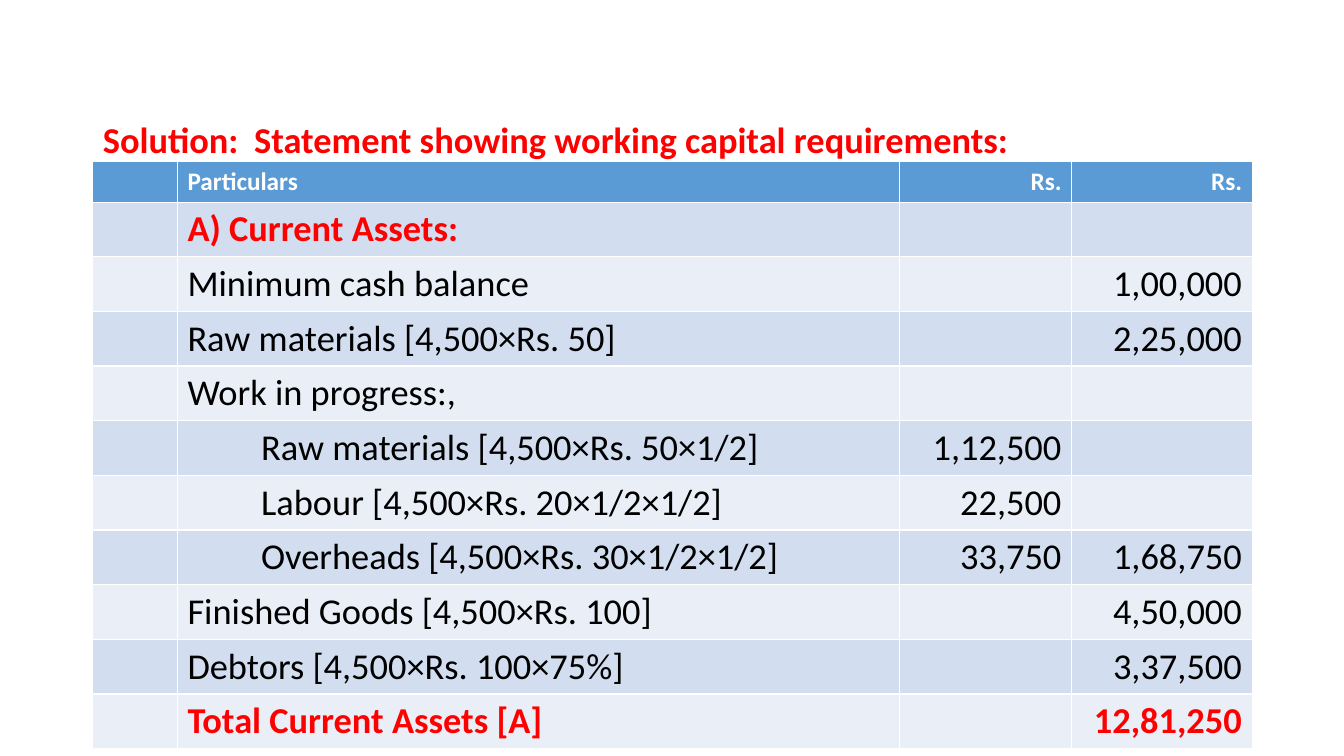
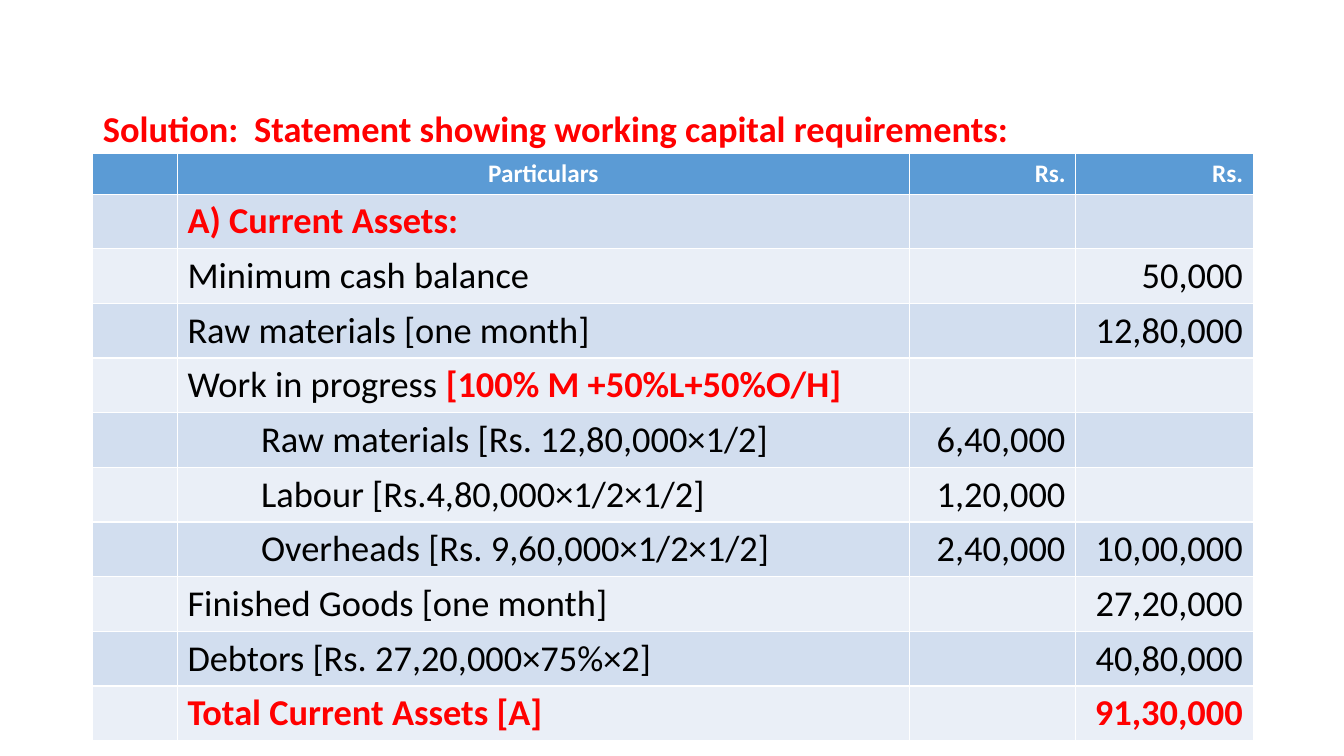
from lxml.etree import SubElement
from pptx import Presentation
from pptx.dml.color import RGBColor
from pptx.enum.text import MSO_ANCHOR, PP_ALIGN
from pptx.oxml.ns import qn
from pptx.util import Inches, Pt

RED = RGBColor(0xFF, 0x00, 0x00)
BLACK = RGBColor(0x00, 0x00, 0x00)
WHITE = RGBColor(0xFF, 0xFF, 0xFF)
HEADER = RGBColor(0x5B, 0x9B, 0xD5)
BANDS = (RGBColor(0xD2, 0xDE, 0xEF), RGBColor(0xEA, 0xEF, 0xF7))
FONT = "Calibri"
LEFT, WIDTH = 0.92, 11.5
HEADER_H, ROW_H = 0.39, 0.48
HEADING = "Solution:\tStatement showing working capital requirements:"
HEADING_TAB = 2.0
SUB_ITEM_INDENT = 0.73

FIRST_ROWS = [
    ("A) Current Assets:", "", ""),
    ("Minimum cash balance", "", "1,00,000"),
    ("Raw materials [4,500×Rs. 50]", "", "2,25,000"),
    ("Work in progress:,", "", ""),
    ("Raw materials [4,500×Rs. 50×1/2]", "1,12,500", ""),
    ("Labour [4,500×Rs. 20×1/2×1/2]", "22,500", ""),
    ("Overheads [4,500×Rs. 30×1/2×1/2]", "33,750", "1,68,750"),
    ("Finished Goods [4,500×Rs. 100]", "", "4,50,000"),
    ("Debtors [4,500×Rs. 100×75%]", "", "3,37,500"),
    ("Total Current Assets [A]", "", "12,81,250"),
]
SECOND_ROWS = [
    ("A) Current Assets:", "", ""),
    ("Minimum cash balance", "", "50,000"),
    ("Raw materials [one month]", "", "12,80,000"),
    (("Work in progress ", "[100% M +50%L+50%O/H]"), "", ""),
    ("Raw materials [Rs. 12,80,000×1/2]", "6,40,000", ""),
    ("Labour [Rs.4,80,000×1/2×1/2]", "1,20,000", ""),
    ("Overheads [Rs. 9,60,000×1/2×1/2]", "2,40,000", "10,00,000"),
    ("Finished Goods [one month]", "", "27,20,000"),
    ("Debtors [Rs. 27,20,000×75%×2]", "", "40,80,000"),
    ("Total Current Assets [A]", "", "91,30,000"),
]


def style_run(r, size, color, bold):
    r.font.name = FONT
    r.font.size = Pt(size)
    r.font.color.rgb = color
    r.font.bold = bold


def add_heading(s, top, height):
    body = s.placeholders[1]
    body.left, body.top = Inches(LEFT), Inches(top)
    body.width, body.height = Inches(WIDTH), Inches(height)
    tf = body.text_frame
    tf.vertical_anchor = MSO_ANCHOR.TOP
    tf.text = HEADING
    p = tf.paragraphs[0]
    p.line_spacing = 0.9
    p.space_before = Pt(10)
    for r in p.runs:
        style_run(r, 26, RED, True)
    pPr = p._p.get_or_add_pPr()
    pPr.set("marL", "0")
    pPr.set("indent", "0")
    SubElement(pPr, qn("a:buNone"))
    tabs = SubElement(pPr, qn("a:tabLst"))
    SubElement(tabs, qn("a:tab"), pos=str(Inches(HEADING_TAB)), algn="l")


def fill_cell(cell, text, fill, size, color, bold, align):
    cell.fill.solid()
    cell.fill.fore_color.rgb = fill
    if not text:
        return
    label, note = (text, "") if isinstance(text, str) else text
    p = cell.text_frame.paragraphs[0]
    p.text = label
    p.alignment = align
    style_run(p.runs[0], size, color, bold)
    if note:
        r = p.add_run()
        r.text = note
        style_run(r, size, RED, True)


def add_statement(s, top, col_widths, rows, label_align):
    height = HEADER_H + ROW_H * len(rows)
    table = s.shapes.add_table(len(rows) + 1, len(col_widths), Inches(LEFT), Inches(top),
                               Inches(WIDTH), Inches(height)).table
    for col, width in zip(table.columns, col_widths):
        col.width = Inches(width)
    for i, row in enumerate(table.rows):
        row.height = Inches(ROW_H if i else HEADER_H)

    aligns = (PP_ALIGN.LEFT, label_align, PP_ALIGN.RIGHT, PP_ALIGN.RIGHT)
    for c, text in enumerate(("", "Particulars", "Rs.", "Rs.")):
        fill_cell(table.cell(0, c), text, HEADER, 18, WHITE, True, aligns[c])

    for i, (label, inner, outer) in enumerate(rows):
        strong = i in (0, len(rows) - 1)
        for c, text in enumerate(("", label, inner, outer)):
            align = PP_ALIGN.RIGHT if c > 1 else PP_ALIGN.LEFT
            fill_cell(table.cell(i + 1, c), text, BANDS[i % 2], 26,
                      RED if strong else BLACK, strong, align)
        if inner:
            p = table.cell(i + 1, 1).text_frame.paragraphs[0]
            p._p.get_or_add_pPr().set("marL", str(Inches(SUB_ITEM_INDENT)))


def add_statement_slide(prs, heading_box, table_top, col_widths, rows, label_align):
    s = prs.slides.add_slide(prs.slide_layouts[1])
    title = s.shapes.title._element
    title.getparent().remove(title)
    add_heading(s, *heading_box)
    add_statement(s, table_top, col_widths, rows, label_align)


def main():
    prs = Presentation()
    prs.slide_width, prs.slide_height = Inches(13.33), Inches(7.5)
    add_statement_slide(prs, (1.16, 5.96), 1.6, (0.84, 7.16, 1.71, 1.79),
                        FIRST_ROWS, PP_ALIGN.LEFT)
    add_statement_slide(prs, (1.05, 6.2), 1.52, (0.84, 7.26, 1.65, 1.76),
                        SECOND_ROWS, PP_ALIGN.CENTER)
    prs.save("out.pptx")


if __name__ == "__main__":
    main()
